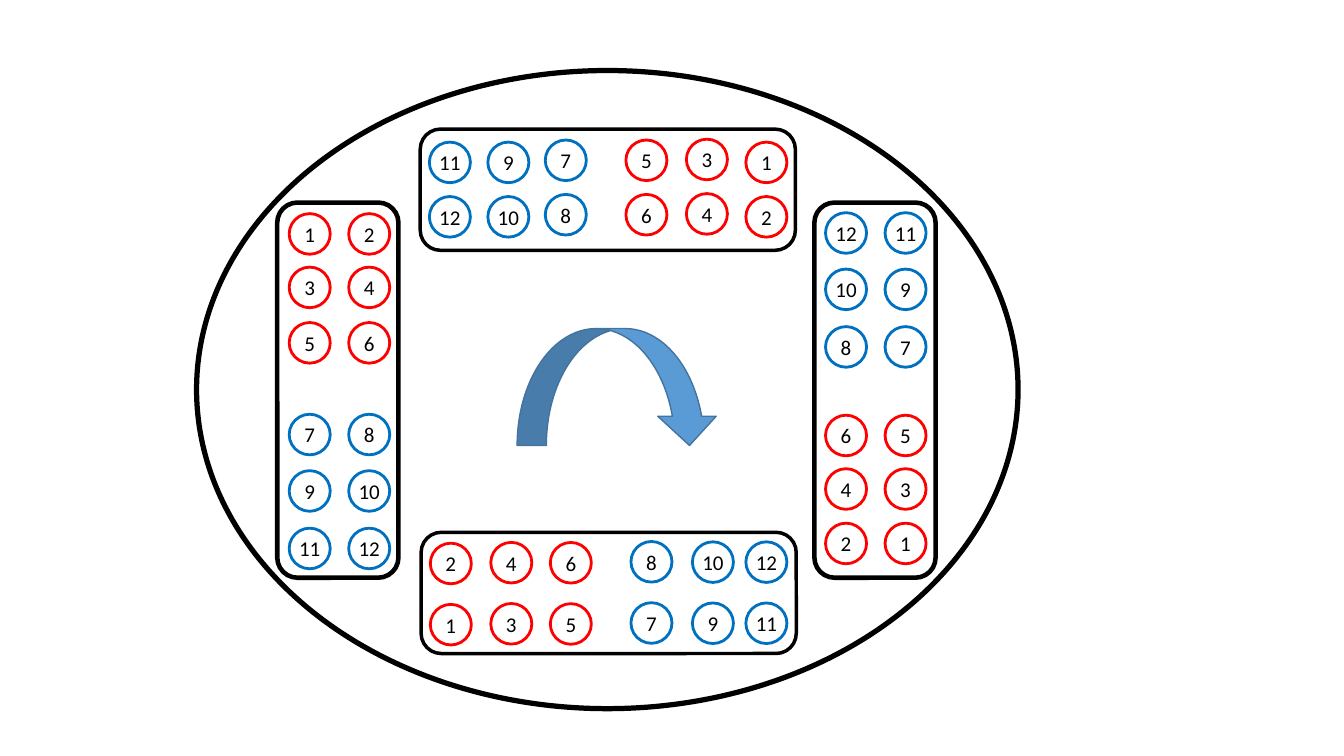
from pptx import Presentation
from pptx.dml.color import RGBColor
from pptx.enum.shapes import MSO_SHAPE as Preset
from pptx.enum.text import MSO_ANCHOR as Anchor, PP_ALIGN as Align
from pptx.util import Pt

BLACK, RED, BLUE = "000000", "FF0000", "0070C0"
SEAT_WIDTH, SEAT_HEIGHT = 29.3, 29
TRAY_LENGTH, TRAY_DEPTH = 268, 86.6


def color(value):
    return RGBColor.from_string(value)


def add_outline(shapes, preset, box, line, weight, fill=None):
    shape = shapes.add_shape(preset, *(Pt(length) for length in box))
    shape.shadow.inherit = False
    if fill:
        shape.fill.solid()
        shape.fill.fore_color.rgb = color(fill)
    else:
        shape.fill.background()
    shape.line.color.rgb = color(line)
    shape.line.width = Pt(weight)
    return shape


def add_tray(shapes, left, top, weight, rotation=0):
    box = (left, top, TRAY_LENGTH, TRAY_DEPTH)
    tray = add_outline(shapes, Preset.ROUNDED_RECTANGLE, box, BLACK, weight)
    tray.rotation = rotation


def add_seat(shapes, left, top, number):
    box = (left, top, SEAT_WIDTH, SEAT_HEIGHT)
    line = RED if number <= 6 else BLUE
    seat = add_outline(shapes, Preset.OVAL, box, line, 2)
    frame = seat.text_frame
    frame.word_wrap = False
    frame.vertical_anchor = Anchor.MIDDLE
    frame.margin_left = frame.margin_right = 0
    frame.margin_top = frame.margin_bottom = 0
    paragraph = frame.paragraphs[0]
    paragraph.text = str(number)
    paragraph.alignment = Align.CENTER
    paragraph.font.name = "Calibri"
    paragraph.font.size = Pt(15)
    paragraph.font.color.rgb = color(BLACK)


def add_seat_pairs(shapes, starts, step, numbers):
    step_x, step_y = step
    pairs = zip(numbers[::2], numbers[1::2])
    for (left, top), (first, second) in zip(starts, pairs):
        add_seat(shapes, left, top, first)
        add_seat(shapes, left + step_x, top + step_y, second)


def main():
    presentation = Presentation()
    presentation.slide_width = Pt(960)
    presentation.slide_height = Pt(540)
    slide = presentation.slides.add_slide(presentation.slide_layouts[6])
    shapes = slide.shapes.add_group_shape().shapes

    rotor_box = (140.4, 50.4, 586.8, 455.8)
    add_outline(shapes, Preset.OVAL, rotor_box, BLACK, 3.75, "FFFFFF")

    upward = list(range(1, 13))
    downward = upward[::-1]
    even_first = [number + shift for number in upward[::2] for shift in (1, 0)]
    odd_first_downward = even_first[::-1]

    add_tray(shapes, 300.2, 92.2, 2.5)
    top_starts = [(306.7, 101.5), (348.5, 101.5), (389.5, 100),
                  (447.1, 100), (490.3, 99.4), (532.8, 101.5)]
    add_seat_pairs(shapes, top_starts, (0, 38.9), odd_first_downward)

    add_tray(shapes, 107.3, 235.4, 3.25, 90)
    left_starts = [(206.6, top) for top in (152.6, 190.8, 230.4, 295.9, 336.2, 377.3)]
    add_seat_pairs(shapes, left_starts, (42.5, 0), upward)

    add_tray(shapes, 491, 235.4, 3.25, 90)
    right_starts = [(589.7, top) for top in (151.9, 192.2, 233.3, 296.6, 334.8, 373.7)]
    add_seat_pairs(shapes, right_starts, (42.5, 0), downward)

    add_tray(shapes, 300.8, 380.2, 2.5)
    bottom_starts = [(307.4, 388), (350.6, 387.4), (393.1, 387.5),
                     (450.7, 386.8), (494.6, 387), (532.8, 387)]
    add_seat_pairs(shapes, bottom_starts, (0, 43.7), even_first)

    arrow_box = (369.4, 234.7, 144, 83.5)
    add_outline(shapes, Preset.CURVED_DOWN_ARROW, arrow_box, "43739E", 1, "5B9BD5")

    presentation.save("out.pptx")


if __name__ == "__main__":
    main()
